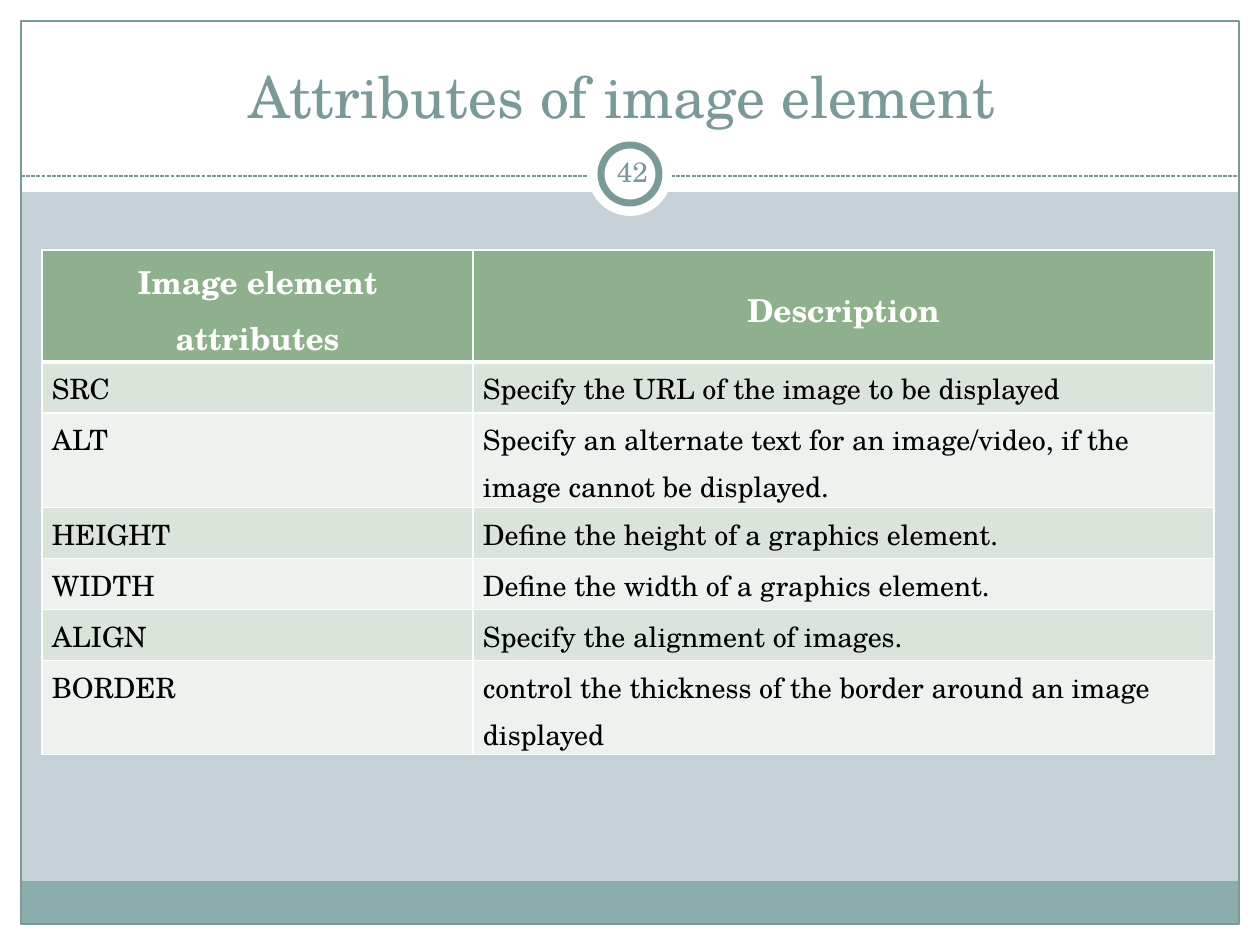
import pptx
import pptx.dml.color
import pptx.enum.dml
import pptx.enum.shapes
import pptx.enum.text
import pptx.oxml
import pptx.oxml.ns
import pptx.util

PX = 914400 / 126
FONT = "TeX Gyre Schola"
COLORS = {
    "backdrop": "C5D1D7", "white": "FFFFFF", "black": "000000", "accent": "7C999A",
    "band": "8CADAE", "header": "8FB08C", "odd": "DBE4DA", "even": "EEF2EE",
}
KINDS = pptx.enum.shapes.MSO_SHAPE
ANCHORS = pptx.enum.text.MSO_ANCHOR
ALIGNMENTS = pptx.enum.text.PP_ALIGN
HEADINGS = ("Image element attributes", "Description")
ATTRIBUTES = [
    ("SRC", "Specify the URL of the image to be displayed"),
    ("ALT", "Specify an alternate text for an image/video, if the image cannot be displayed."),
    ("HEIGHT", "Define the height of a graphics element."),
    ("WIDTH", "Define the width of a graphics element."),
    ("ALIGN", "Specify the alignment of images."),
    ("BORDER", "control the thickness of the border around an image displayed"),
]


def emu(*lengths):
    """Turn px lengths into EMU."""
    return [pptx.util.Emu(round(length * PX)) for length in lengths]


def rgb(name):
    """Look up a named colour."""
    return pptx.dml.color.RGBColor.from_string(COLORS[name])


def apply(target, values):
    """Set each attribute in values on target."""
    for name, value in values.items():
        setattr(target, name, value)


def write(frame, text, size, color, bold=False, paragraph_format=None):
    """Put one formatted paragraph into a text frame."""
    paragraph = frame.paragraphs[0]
    apply(paragraph, paragraph_format or {"alignment": ALIGNMENTS.CENTER})
    run = paragraph.add_run()
    run.text = text
    apply(run.font, {"name": FONT, "size": pptx.util.Pt(size), "bold": bold})
    run.font.color.rgb = rgb(color)


def add_panel(slide, kind, box, fill=None, line_width=None):
    """Add a preset shape with an optional fill and accent outline."""
    panel = slide.shapes.add_shape(kind, *emu(*box))
    panel.shadow.inherit = False
    if fill:
        panel.fill.solid()
        panel.fill.fore_color.rgb = rgb(fill)
    else:
        panel.fill.background()
    if line_width:
        panel.line.color.rgb = rgb("accent")
        panel.line.width = pptx.util.Pt(line_width)
    else:
        panel.line.fill.background()


def add_frame(slide, box):
    """Add the white margins, footer band, outline and dashed divider."""
    left, top, width, height = box
    margin, header, footer = 21, 192, 43
    right, bottom = left + width, top + height
    for edge in (
        (left, bottom - margin, width, margin),
        (left, top, width, header),
        (left, top, margin, height),
        (right - margin, top, margin, height),
    ):
        add_panel(slide, KINDS.RECTANGLE, edge, "white")
    inner_width = width - 2 * margin
    add_panel(slide, KINDS.RECTANGLE,
              (left + margin, bottom - margin - footer, inner_width, footer), "band")
    add_panel(slide, KINDS.RECTANGLE,
              (left + margin, top + margin, inner_width, height - 2 * margin), None, 0.75)
    divider_y = top + 176
    divider = slide.shapes.add_connector(
        pptx.enum.shapes.MSO_CONNECTOR.STRAIGHT,
        *emu(left + margin, divider_y, right - margin, divider_y))
    divider.line.color.rgb = rgb("accent")
    apply(divider.line, {"width": pptx.util.Pt(0.75),
                         "dash_style": pptx.enum.dml.MSO_LINE.SQUARE_DOT})
    divider.element.spPr.append(pptx.oxml.parse_xml(
        f"<a:effectLst {pptx.oxml.ns.nsdecls('a')}/>"))


def add_page_badge(slide, box, number):
    """Add the ringed page number."""
    left, top, width, height = box
    inset = 13
    add_panel(slide, KINDS.OVAL, box, "white")
    add_panel(slide, KINDS.OVAL,
              (left + inset, top + inset, width - 2 * inset, height - 2 * inset), "white", 4)
    label = slide.shapes.add_textbox(*emu(left + inset, top + 9, 63, 60)).text_frame
    apply(label, {"word_wrap": True, "vertical_anchor": ANCHORS.MIDDLE})
    apply(label, dict(zip(
        ("margin_left", "margin_top", "margin_right", "margin_bottom"), emu(6, 6, 6, 6))))
    write(label, number, 16, "accent")


def place_title(slide, box, text):
    """Move the title placeholder to its box, in front of the frame."""
    title = slide.shapes.title
    apply(title, dict(zip(("left", "top", "width", "height"), emu(*box))))
    apply(title.text_frame, {"word_wrap": True, "vertical_anchor": ANCHORS.BOTTOM,
                             "auto_size": pptx.enum.text.MSO_AUTO_SIZE.NONE})
    write(title.text_frame, text, 33, "accent")
    title.element.getparent().append(title.element)


def border_cell(cell, widths):
    """Draw white borders, given as point widths by side."""
    properties = cell._tc.get_or_add_tcPr()
    for side in "LRTB":
        properties.append(pptx.oxml.parse_xml(
            f"<a:ln{side} {pptx.oxml.ns.nsdecls('a')} w=\"{pptx.util.Pt(widths.get(side, 1))}\">"
            f"<a:solidFill><a:srgbClr val=\"{COLORS['white']}\"/></a:solidFill></a:ln{side}>"))


def add_attribute_table(slide, box):
    """Add the table of image attributes and their descriptions."""
    records = [HEADINGS, *ATTRIBUTES]
    table = slide.shapes.add_table(len(records), len(HEADINGS), *emu(*box)).table
    name_width, header_height, row_height = 431, 73, 51
    for column, width in zip(table.columns, emu(name_width, box[2] - name_width)):
        column.width = width
    for row_index, record in enumerate(records):
        is_header = row_index == 0
        table.rows[row_index].height = emu(header_height if is_header else row_height)[0]
        fill = "header" if is_header else ("even", "odd")[row_index % 2]
        for column_index, text in enumerate(record):
            cell = table.cell(row_index, column_index)
            border_cell(cell, {0: {"B": 3}, 1: {"T": 3}}.get(row_index, {}))
            cell.fill.solid()
            cell.fill.fore_color.rgb = rgb(fill)
            side, edge = emu(1, 1) if text == "Description" else emu(10, 0)
            apply(cell, {
                "margin_left": side, "margin_right": side,
                "margin_top": edge, "margin_bottom": edge,
                "vertical_anchor": ANCHORS.MIDDLE if is_header else ANCHORS.TOP,
            })
            write(cell.text_frame, text, 18 if is_header else 16,
                  "white" if is_header else "black", is_header,
                  {"alignment": ALIGNMENTS.CENTER if is_header else ALIGNMENTS.LEFT,
                   "line_spacing": 1.15})


def main():
    """Build and save the slide."""
    deck = pptx.Presentation()
    apply(deck, dict(zip(("slide_width", "slide_height"), emu(1260, 945))))
    slide = deck.slides.add_slide(deck.slide_layouts.get_by_name("Title Only"))
    slide.background.fill.solid()
    slide.background.fill.fore_color.rgb = rgb("backdrop")
    add_frame(slide, (0, 0, 1260, 945))
    add_page_badge(slide, (588, 132, 84, 84), "42")
    place_title(slide, (42, 31, 1176, 105), "Attributes of image element ")
    add_attribute_table(slide, (42, 250, 1172, 426))
    deck.save("out.pptx")


if __name__ == "__main__":
    main()
